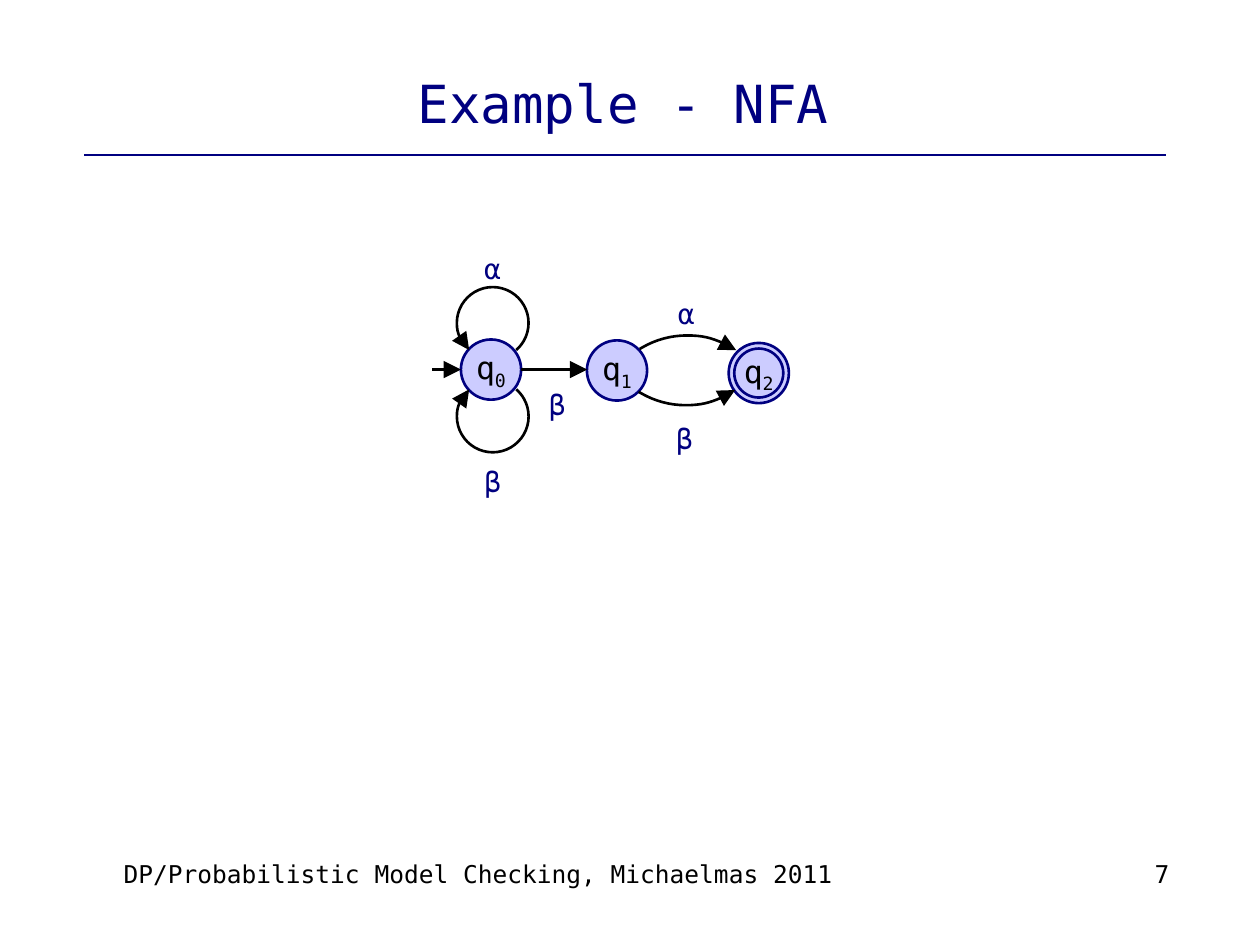
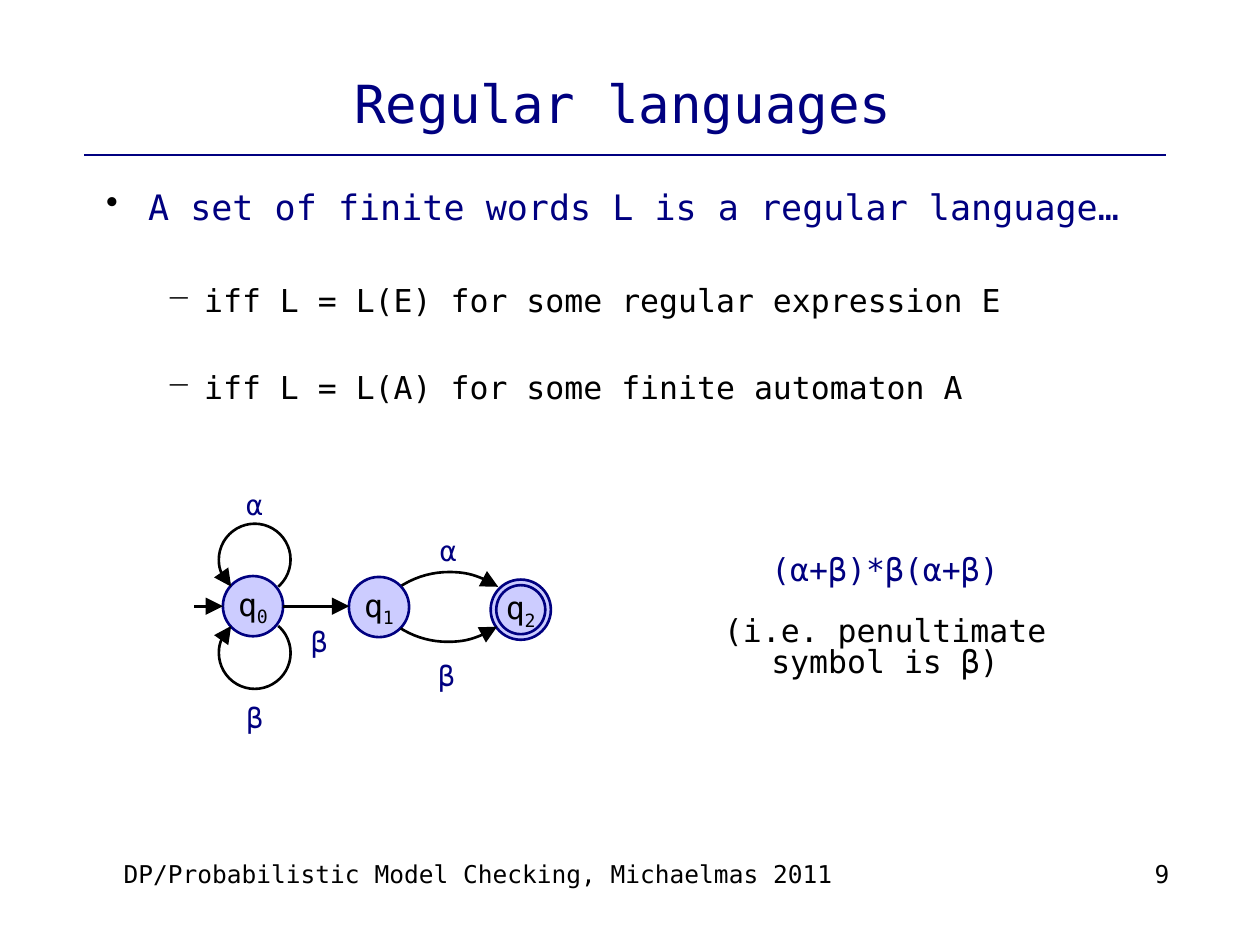
from lxml.etree import SubElement
from pptx import Presentation
from pptx.dml.color import RGBColor
from pptx.enum.shapes import MSO_CONNECTOR, MSO_SHAPE
from pptx.enum.text import MSO_ANCHOR, PP_ALIGN
from pptx.oxml.ns import qn
from pptx.util import Pt

NAVY = RGBColor(0x00, 0x00, 0x80)
LAVENDER = RGBColor(0xCC, 0xCC, 0xFF)
BLACK = RGBColor(0x00, 0x00, 0x00)
FONT = "DejaVu Sans Mono"
FOOTER = "DP/Probabilistic Model Checking, Michaelmas 2011"

# Title, slide number and centre of state q0
SLIDES = [
    ("Example - NFA", "7", (280.6, 211.2)),
    ("Regular languages", "9", (144.6, 346.4)),
]

# Automaton, measured from the centre of q0
STATE_RADIUS, FINAL_RADIUS = 17.2, 14
STATES = [  # x, y, radius, index (none for the outer ring)
    (0, 0, STATE_RADIUS, "0"),
    (72, 0.5, STATE_RADIUS, "1"),
    (153, 2, STATE_RADIUS, ""),
    (153, 2, FINAL_RADIUS, "2"),
]
ARROWS = [(-33.5, -17.2), (17.2, 55)]  # from x, to x
ARCS = [  # centre x, y, radius, start and end angle, end with the arrowhead
    (1, 26.8, 20.5, 311, 229, "tailEnd"),
    (1, -26.6, 20.5, 131, 49, "headEnd"),
    (112, 31.5, 51, 238, 303.5, "tailEnd"),
    (111.2, -30.2, 50.6, 56, 122, "headEnd"),
]
SYMBOLS = [
    ("α", 0.8, -58),
    ("α", 111.6, -32),
    ("β", 1, 63.7),
    ("β", 37.8, 19.8),
    ("β", 110.6, 39.2),
]

CLAIMS = [  # text, bullet, indent, hanging, size, colour, space before
    ("A set of finite words L is a regular language…", "•", 32, 24, 20, NAVY, 0),
    ("iff L = L(E) for some regular expression E", "−", 64, 21.6, 18, BLACK, 31),
    ("iff L = L(A) for some finite automaton A", "−", 64, 21.6, 18, BLACK, 28),
]
EXPRESSION = [  # text, colour, space before
    ("(α+β)*β(α+β)", NAVY, 0),
    ("(i.e. penultimate symbol is β)", BLACK, 17.2),
]


def write(shape, lines, align=PP_ALIGN.LEFT, anchor=MSO_ANCHOR.TOP, spacing=None):
    """Fill a shape with (text, size, colour, space before) paragraphs."""
    frame = shape.text_frame
    frame.text = "\n".join(line[0] for line in lines)
    frame.word_wrap = True
    frame.vertical_anchor = anchor
    frame.margin_left = frame.margin_right = frame.margin_top = frame.margin_bottom = 0
    for paragraph, (_, size, color, before) in zip(frame.paragraphs, lines):
        paragraph.alignment = align
        if spacing:
            paragraph.line_spacing = spacing
        if before:
            paragraph.space_before = Pt(before)
        for run in paragraph.runs:
            run.font.name = FONT
            run.font.size = Pt(size)
            run.font.color.rgb = color
    return frame.paragraphs


def stroke(shape, color, arrow_end=None):
    """Draw a 1.5 pt outline without shadow, optionally with an arrowhead."""
    shape.line.color.rgb = color
    shape.line.width = Pt(1.5)
    if arrow_end:
        line = shape.line._get_or_add_ln()
        SubElement(line, qn("a:" + arrow_end), type="triangle", w="lg", len="lg")
    SubElement(shape._element.spPr, qn("a:effectLst"))


prs = Presentation()
prs.slide_width, prs.slide_height = Pt(720), Pt(540)

for title, number, (q0_x, q0_y) in SLIDES:
    slide = prs.slides.add_slide(prs.slide_layouts[6])

    # Title, rule and footer
    rule = slide.shapes.add_connector(
        MSO_CONNECTOR.STRAIGHT, Pt(48.2), Pt(88.6), Pt(666), Pt(88.6))
    stroke(rule, NAVY)
    heading = slide.shapes.add_textbox(Pt(49), Pt(26.6), Pt(614), Pt(62))
    write(heading, [(title, 30, NAVY, 0)], PP_ALIGN.CENTER, MSO_ANCHOR.MIDDLE, 1.04)
    course = slide.shapes.add_textbox(Pt(70.6), Pt(491.8), Pt(420), Pt(37.4))
    write(course, [(FOOTER, 14, BLACK, 0)], spacing=0.96)
    page = slide.shapes.add_textbox(Pt(552.2), Pt(491.8), Pt(116), Pt(37.4))
    write(page, [(number, 14, BLACK, 0)], PP_ALIGN.RIGHT, spacing=0.96)

    # States
    automaton = slide.shapes.add_group_shape().shapes
    for x, y, radius, index in STATES:
        state = automaton.add_shape(
            MSO_SHAPE.OVAL, Pt(q0_x + x - radius), Pt(q0_y + y - radius),
            Pt(2 * radius), Pt(2 * radius))
        state.fill.solid()
        state.fill.fore_color.rgb = LAVENDER
        stroke(state, NAVY)
        if index:
            name = write(state, [("q", 18, BLACK, 0)],
                         PP_ALIGN.CENTER, MSO_ANCHOR.MIDDLE)[0]
            state.text_frame.word_wrap = False
            subscript = name.add_run()
            subscript.text = index
            subscript.font.name = FONT
            subscript.font.size = Pt(18)
            subscript.font.color.rgb = BLACK
            subscript._r.get_or_add_rPr().set("baseline", "-25000")

    # Transitions
    for start_x, end_x in ARROWS:
        arrow = automaton.add_connector(
            MSO_CONNECTOR.STRAIGHT, Pt(q0_x + start_x), Pt(q0_y),
            Pt(q0_x + end_x), Pt(q0_y))
        stroke(arrow, BLACK, "tailEnd")
    for x, y, radius, start, end, arrow_end in ARCS:
        arc = automaton.add_shape(
            MSO_SHAPE.ARC, Pt(q0_x + x - radius), Pt(q0_y + y - radius),
            Pt(2 * radius), Pt(2 * radius))
        # Arc angles are stored in 1/60000 degree, adjustments in 1/100000
        arc.adjustments[0] = start * 0.6
        arc.adjustments[1] = end * 0.6
        arc.fill.background()
        stroke(arc, BLACK, arrow_end)

    # Input symbols
    for symbol, x, y in SYMBOLS:
        label = automaton.add_textbox(
            Pt(q0_x + x - 12), Pt(q0_y + y - 13), Pt(24), Pt(26))
        write(label, [(symbol, 16, NAVY, 0)], PP_ALIGN.CENTER, MSO_ANCHOR.MIDDLE)

# Claims on the last slide
claims = slide.shapes.add_textbox(Pt(52.6), Pt(105.8), Pt(614), Pt(374.4))
claim_lines = [(text, size, color, before)
               for text, _, _, _, size, color, before in CLAIMS]
for paragraph, (_, bullet, indent, hanging, *_) in zip(write(claims, claim_lines), CLAIMS):
    properties = paragraph._p.get_or_add_pPr()
    properties.set("marL", str(Pt(indent)))
    properties.set("indent", str(-Pt(hanging)))
    bullet_color = SubElement(properties, qn("a:buClr"))
    SubElement(bullet_color, qn("a:srgbClr"), val=str(BLACK))
    SubElement(properties, qn("a:buChar"), char=bullet)

# Matching regular expression
expression = slide.shapes.add_textbox(Pt(384.5), Pt(318.2), Pt(242.6), Pt(72))
write(expression, [(text, 18, color, before) for text, color, before in EXPRESSION],
      PP_ALIGN.CENTER, spacing=0.82)

prs.save("out.pptx")
